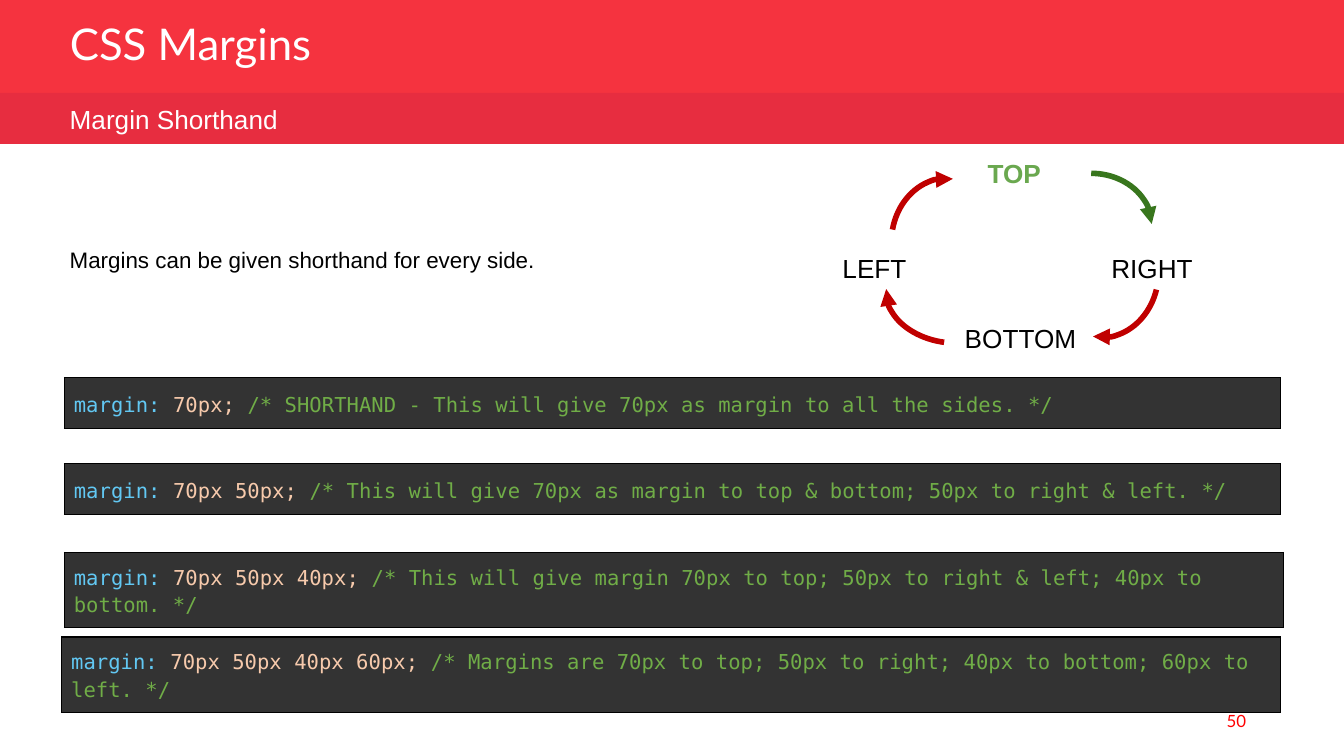
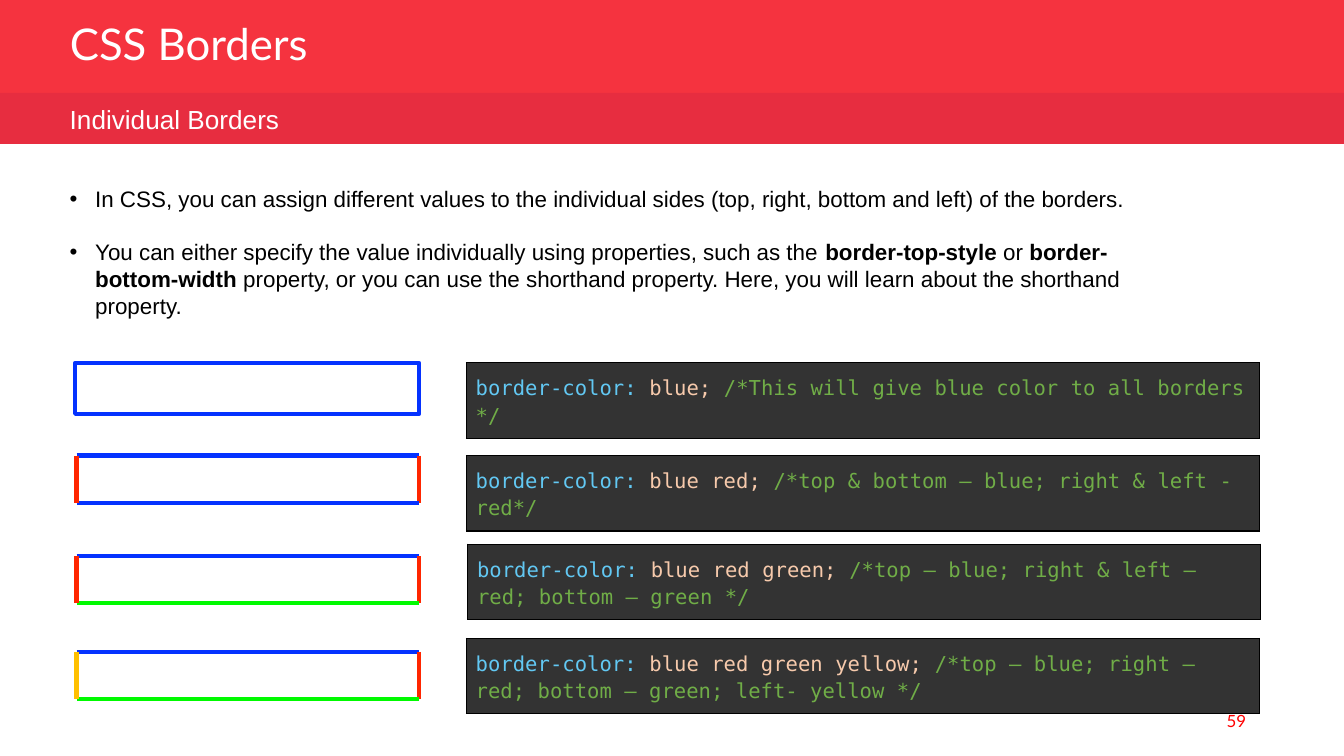
from lxml import etree
from pptx import Presentation
from pptx.dml.color import RGBColor
from pptx.enum.shapes import MSO_CONNECTOR, MSO_SHAPE
from pptx.enum.text import MSO_ANCHOR, MSO_AUTO_SIZE, PP_ALIGN
from pptx.oxml.ns import qn
from pptx.util import Inches, Pt

RECT, ARC = MSO_SHAPE.RECTANGLE, MSO_SHAPE.ARC
STRAIGHT = MSO_CONNECTOR.STRAIGHT
MIDDLE = MSO_ANCHOR.MIDDLE
LEFT, RIGHT = PP_ALIGN.LEFT, PP_ALIGN.RIGHT

SANS, MONO, TITLE_FONT = "Arial", "DejaVu Sans Mono", "Lato"

BLACK = RGBColor(0x00, 0x00, 0x00)
WHITE = RGBColor(0xFF, 0xFF, 0xFF)
TITLE_RED = RGBColor(0xF5, 0x33, 0x3F)
SUBTITLE_RED = RGBColor(0xE7, 0x2D, 0x40)
NUMBER_RED = RGBColor(0xFF, 0x00, 0x00)
CODE_BG = RGBColor(0x33, 0x33, 0x33)
CODE_PROPERTY = RGBColor(0x62, 0xC8, 0xF3)
CODE_VALUE = RGBColor(0xF7, 0xCA, 0xAC)
CODE_COMMENT = RGBColor(0x70, 0xAD, 0x47)
TOP_GREEN = RGBColor(0x6A, 0xA8, 0x4F)
ARROW_GREEN = RGBColor(0x38, 0x76, 0x1D)
ARROW_RED = RGBColor(0xC0, 0x00, 0x00)
BLUE = RGBColor(0x04, 0x32, 0xFF)
RED = RGBColor(0xFF, 0x26, 0x00)
GREEN = RGBColor(0x00, 0xFA, 0x00)
YELLOW = RGBColor(0xFF, 0xC0, 0x00)

# Left, top and width of the code box, then its value and comment
MARGIN_CODES = [
    (0.48, 2.81, 9.05, "70px; ",
     "/* SHORTHAND - This will give 70px as margin to all the sides. */"),
    (0.48, 3.45, 9.05, "70px 50px; ",
     "/* This will give 70px as margin to top & bottom; 50px to right & left. */"),
    (0.48, 4.11, 9.07, "70px 50px 40px; ",
     "/* This will give margin 70px to top; 50px to right & left; 40px to bottom. */"),
    (0.46, 4.74, 9.07, "70px 50px 40px 60px; ",
     "/* Margins are 70px to top; 50px to right; 40px to bottom; 60px to left. */"),
]
BORDER_CODES = [
    (3.47, 2.7, 5.9, "blue; ", "/*This will give blue color to all borders */"),
    (3.47, 3.39, 5.9, "blue red; ", "/*top & bottom – blue; right & left - red*/"),
    (3.48, 4.05, 5.9, "blue red green; ",
     "/*top – blue; right & left – red; bottom – green */"),
    (3.47, 4.75, 5.9, "blue red green yellow; ",
     "/*top – blue; right – red; bottom – green; left- yellow */"),
]
SIDE_LABELS = [
    ("TOP", 7.25, 1.12, 0.61, TOP_GREEN, True),
    ("RIGHT", 8.17, 1.83, 0.81, BLACK, False),
    ("BOTTOM", 7.08, 2.35, 1.04, BLACK, False),
    ("LEFT", 6.17, 1.83, 0.68, BLACK, False),
]
SIDE_ARROWS = [
    (7.67, 1.29, 0.9, 0.77, 0, ARROW_GREEN),
    (7.78, 1.68, 0.9, 0.77, 103.6, ARROW_RED),
    (6.59, 1.86, 0.96, 0.69, 187.6, ARROW_RED),
    (6.57, 1.39, 0.9, 0.77, 280, ARROW_RED),
]
# Top of the box, then its top, right, bottom and left colours
BORDER_BOXES = [
    (3.39, (BLUE, RED, BLUE, RED)),
    (4.14, (BLUE, RED, GREEN, RED)),
    (4.85, (BLUE, RED, GREEN, YELLOW)),
]
BULLETS = [
    [("In CSS, you can assign different values to the individual sides "
      "(top, right, bottom and left) of the borders.", False)],
    [("You can either specify the value individually using properties, such as the ", False),
     ("border-top-style ", True), ("or ", False), ("border-bottom-width ", True),
     ("property, or you can use the shorthand property. Here, you will learn about "
      "the shorthand property.", False)],
]


def inches(*lengths):
    return [Inches(v) for v in lengths]


def set_font(font, name, size, color, bold=False):
    font.name, font.size, font.bold = name, Pt(size), bold
    font.color.rgb = color


def add_text(s, text, at, font, size, color, bold=False, align=LEFT, wrap=True):
    tf = s.shapes.add_textbox(*inches(*at)).text_frame
    tf.word_wrap = wrap
    p = tf.paragraphs[0]
    p.text, p.alignment = text, align
    set_font(p.font, font, size, color, bold)
    return tf


def add_band(s, top, height, color):
    band = s.shapes.add_shape(RECT, *inches(0, top, 10, height))
    band.shadow.inherit = False
    band.fill.solid()
    band.fill.fore_color.rgb = color
    band.line.fill.background()
    return band


def add_slide(prs, layout, title, subtitle, number):
    s = prs.slides.add_slide(layout)
    sp = s.shapes.title
    sp.left, sp.top, sp.width, sp.height = inches(0.42, 0.14, 4.69, 0.44)
    tf = sp.text_frame
    tf.text = title
    tf.word_wrap, tf.auto_size = True, MSO_AUTO_SIZE.NONE
    tf.vertical_anchor = MIDDLE
    p = tf.paragraphs[0]
    p.alignment, p.line_spacing = LEFT, 0.8
    set_font(p.font, TITLE_FONT, 23.4, WHITE)
    add_band(s, 0.69, 0.38, SUBTITLE_RED)
    add_text(s, subtitle, (0.42, 0.72, 5.09, 0.34), SANS, 14, WHITE)
    tf = add_text(s, number, (7.12, 5.21, 2.25, 0.3), TITLE_FONT, 9, NUMBER_RED, align=RIGHT)
    tf.vertical_anchor = MIDDLE
    return s


def add_title_band(s, layout):
    """Put the title band on the layout, behind its placeholders."""
    band = add_band(s, 0, 0.7, TITLE_RED)
    layout.shapes._spTree.insert(2, band._element)


def add_cell_borders(cell, color):
    tc_pr = cell._tc.get_or_add_tcPr()
    for side in ("lnL", "lnR", "lnT", "lnB"):
        ln = etree.SubElement(tc_pr, qn(f"a:{side}"), w=str(Pt(0.75)))
        fill = etree.SubElement(ln, qn("a:solidFill"))
        etree.SubElement(fill, qn("a:srgbClr"), val=str(color))


def add_code(s, name, left, top, width, value, comment):
    table = s.shapes.add_table(1, 1, *inches(left, top, width, 0.38)).table
    table.first_row = table.horz_banding = False
    cell = table.cell(0, 0)
    add_cell_borders(cell, BLACK)
    cell.fill.solid()
    cell.fill.fore_color.rgb = CODE_BG
    cell.vertical_anchor = MIDDLE
    cell.margin_left = cell.margin_right = Inches(0.07)
    cell.margin_top = cell.margin_bottom = Inches(0.07)
    p = cell.text_frame.paragraphs[0]
    p.line_spacing = 1.15
    for text, color in ((name, CODE_PROPERTY), (value, CODE_VALUE), (comment, CODE_COMMENT)):
        r = p.add_run()
        r.text = text
        set_font(r.font, MONO, 11, color)


def add_arc_arrow(s, left, top, width, height, rotation, color):
    arc = s.shapes.add_shape(ARC, *inches(left, top, width, height))
    arc.shadow.inherit = False
    arc.adjustments[0], arc.adjustments[1] = 162, 215.34
    arc.rotation = rotation
    arc.fill.background()
    arc.line.color.rgb, arc.line.width = color, Pt(3)
    etree.SubElement(arc.line._get_or_add_ln(), qn("a:tailEnd"), type="triangle")


def add_line(s, x1, y1, x2, y2, color):
    line = s.shapes.add_connector(STRAIGHT, *inches(x1, y1, x2, y2))
    line.line.color.rgb, line.line.width = color, Pt(2.25)
    etree.SubElement(line._element.spPr, qn("a:effectLst"))


def add_border_box(s, top, colors):
    left, right, bottom = 0.57, 3.12, top + 0.35
    sides = [(left, top, right, top), (right, top, right, bottom),
             (left, bottom, right, bottom), (left, top, left, bottom)]
    for side, color in zip(sides, colors):
        add_line(s, *side, color)


def add_bullets(s, bullets, at):
    tf = s.shapes.add_textbox(*inches(*at)).text_frame
    tf.word_wrap = True
    for i, runs in enumerate(bullets):
        p = tf.add_paragraph() if i else tf.paragraphs[0]
        if i:
            p.space_before = Pt(14)
        p_pr = p._p.get_or_add_pPr()
        p_pr.set("marL", str(Inches(0.19)))
        p_pr.set("indent", str(-Inches(0.19)))
        etree.SubElement(p_pr, qn("a:buFont"), typeface=SANS)
        etree.SubElement(p_pr, qn("a:buChar"), char="•")
        for text, bold in runs:
            r = p.add_run()
            r.text = text
            set_font(r.font, SANS, 12, BLACK, bold)


def fill_margins(s):
    add_text(s, "Margins can be given shorthand for every side.",
             (0.42, 1.78, 5.09, 0.3), SANS, 12, BLACK)
    for code in MARGIN_CODES:
        add_code(s, "margin: ", *code)
    for text, left, top, width, color, bold in SIDE_LABELS:
        add_text(s, text, (left, top, width, 0.34), SANS, 14, color, bold, wrap=False)
    for arrow in SIDE_ARROWS:
        add_arc_arrow(s, *arrow)


def fill_borders(s):
    add_bullets(s, BULLETS, (0.42, 1.33, 8.34, 1.11))
    for code in BORDER_CODES:
        add_code(s, "border-color: ", *code)
    box = s.shapes.add_shape(RECT, *inches(0.56, 2.7, 2.56, 0.38))
    box.shadow.inherit = False
    box.fill.background()
    box.line.color.rgb, box.line.width = BLUE, Pt(2.25)
    for top, colors in BORDER_BOXES:
        add_border_box(s, top, colors)


def main():
    prs = Presentation()
    prs.slide_width = Inches(10)
    prs.slide_height = prs.slide_width * 9 // 16
    layout = prs.slide_layouts[5]
    margins = add_slide(prs, layout, "CSS Margins", "Margin Shorthand", "50")
    add_title_band(margins, layout)
    fill_margins(margins)
    fill_borders(add_slide(prs, layout, "CSS Borders", "Individual Borders", "59"))
    prs.save("out.pptx")


if __name__ == "__main__":
    main()
